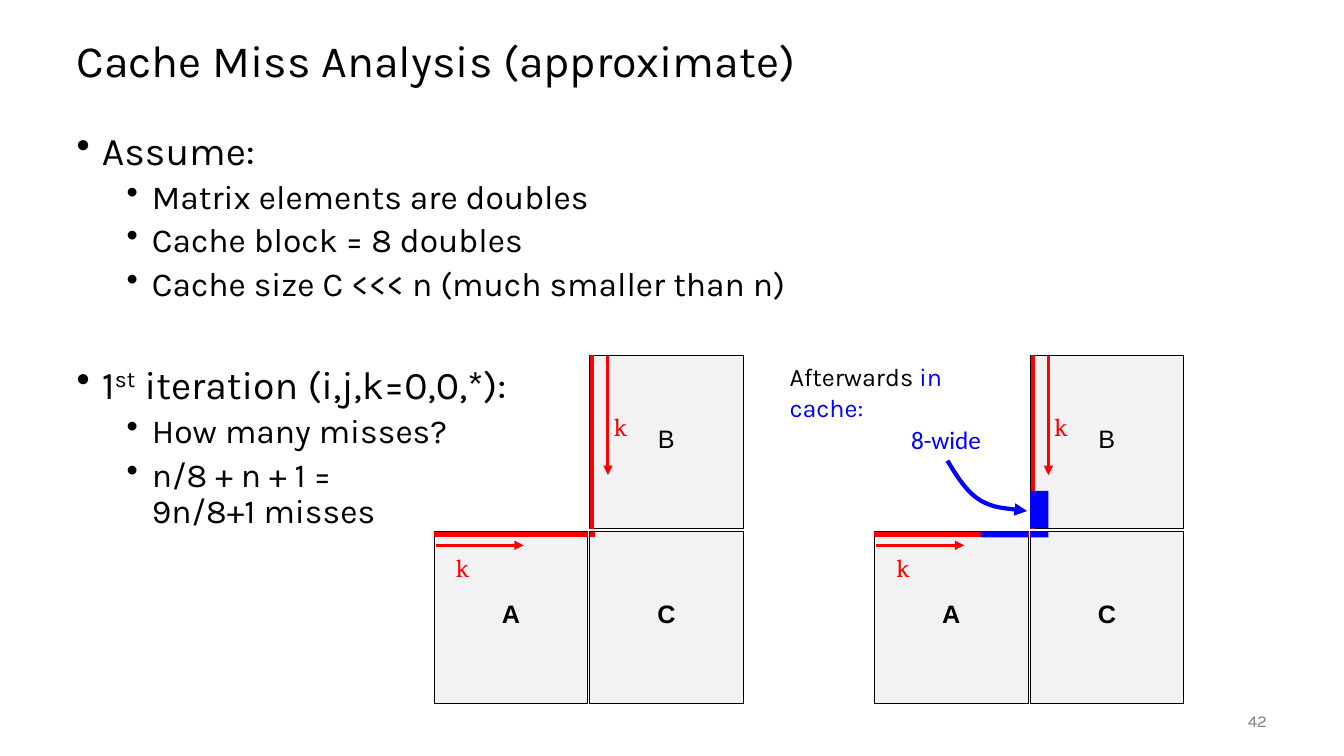
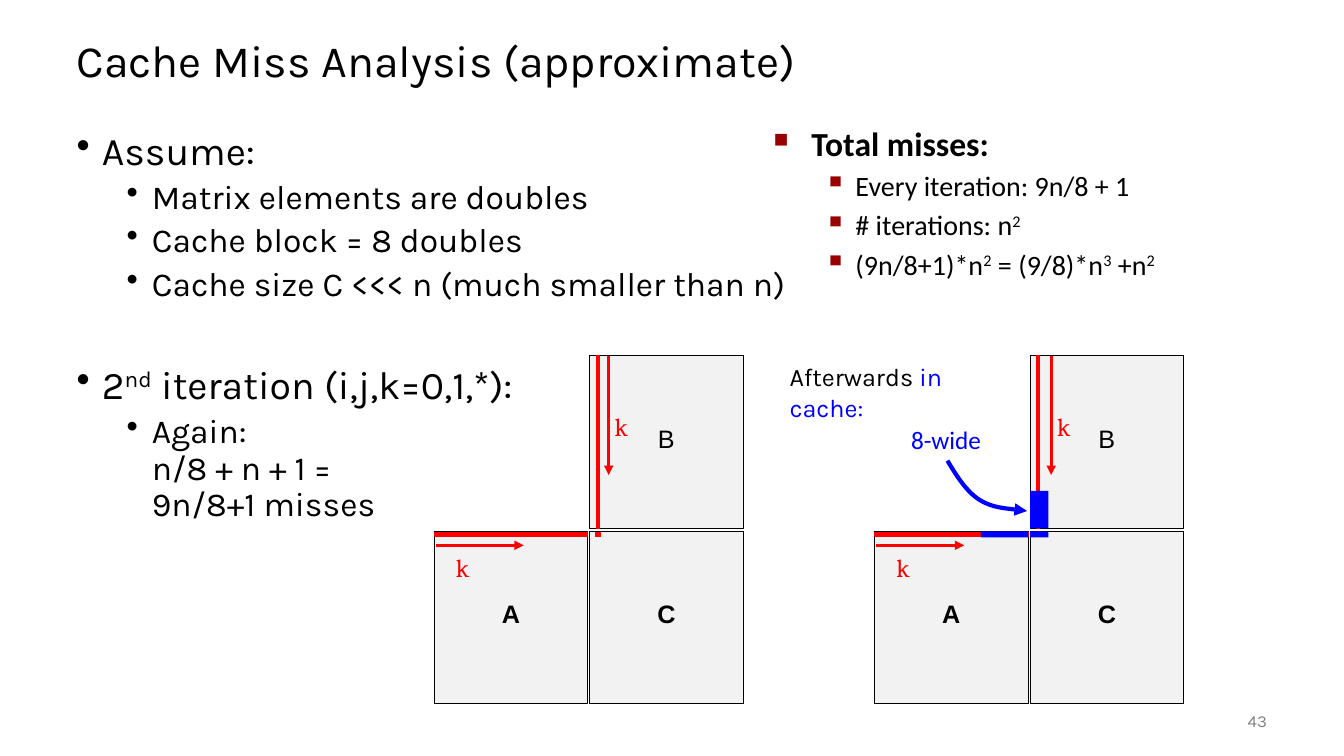
from lxml.etree import SubElement
from pptx import Presentation
from pptx.dml.color import RGBColor as RGB
from pptx.enum.shapes import MSO_CONNECTOR as CONN, MSO_SHAPE as SHAPE
from pptx.enum.text import MSO_ANCHOR as ANCHOR, PP_ALIGN as ALIGN
from pptx.oxml.ns import qn
from pptx.util import Cm, Pt

COLORS = {"black": "000000", "red": "FF0000", "blue": "0000FF",
          "panel": "F2F2F2", "bullet": "990000", "number": "808080"}

# font and para hold attribute values; bullet is (char, left cm, hanging cm, colour, size %)
STYLES = {
    "title": dict(font=dict(name="Karla", size=Pt(32)), para=dict(line_spacing=0.9)),
    "head": dict(font=dict(name="Karla", size=Pt(28)),
                 para=dict(line_spacing=0.9, space_before=Pt(44.5)),
                 bullet=("•", 0.64, 0.64, "black", 100)),
    "item": dict(font=dict(name="Karla", size=Pt(24)),
                 para=dict(level=1, line_spacing=0.9, space_before=Pt(5)),
                 bullet=("•", 1.9, 0.64, "black", 100)),
    "total": dict(font=dict(name="Calibri", size=Pt(24), bold=True),
                  bullet=("■", 0.95, 0.95, "bullet", 60)),
    "total item": dict(font=dict(name="Calibri", size=Pt(20)),
                       para=dict(level=1, space_before=Pt(4)),
                       bullet=("▪", 2.06, 0.79, "bullet", 110)),
    "note": dict(font=dict(name="Karla", size=Pt(18)), alt="blue"),
    "width": dict(font=dict(name="Calibri", size=Pt(18)), color="blue"),
    "index": dict(font=dict(name="Cambria", size=Pt(18)), color="red"),
    "matrix": dict(font=dict(name="Arial", size=Pt(18)), para=dict(alignment=ALIGN.CENTER)),
    "bold matrix": dict(font=dict(name="Arial", size=Pt(18), bold=True),
                        para=dict(alignment=ALIGN.CENTER)),
    "number": dict(font=dict(name="Karla", size=Pt(12)), color="number",
                   para=dict(alignment=ALIGN.RIGHT)),
}

MATRIX_W, MATRIX_H = 3.87, 4.34
LEFT, TOP = 10.94, 8.97
STEP_X, STEP_Y = 3.92, 4.42
PANEL_STEP = 11.1
CACHE_W = 0.46
CURVE = [(9.4, 4.57), (9.49, 4.72), (9.59, 4.88), (9.72, 4.96),
         (9.85, 5.04), (10.19, 5.07), (10.19, 5.07)]

ASSUME = [("head", "Assume:"), ("item", "Matrix elements are doubles"),
          ("item", "Cache block = 8 doubles"),
          ("item", "Cache size C <<< n (much smaller than n)")]

SLIDES = [
    dict(number="42", column=0.03, arrows=(0.46, 0.46), totals=[],
         body=[("head", "1^st^ iteration (i,j,k=0,0,*):"), ("item", "How many misses?"),
               ("item", "n/8 + n + 1 =\n9n/8+1 misses")]),
    dict(number="43", column=0.17, arrows=(0.48, 0.53),
         totals=[("total", "Total misses:"), ("total item", "Every iteration: 9n/8 + 1"),
                 ("total item", "# iterations: n^2"),
                 ("total item", "(9n/8+1)*n^2^ = (9/8)*n^3^ +n^2")],
         body=[("head", "2^nd^ iteration (i,j,k=0,1,*):"),
               ("item", "Again:\nn/8 + n + 1 =\n9n/8+1 misses")]),
]


def write(tf, paras, **frame):
    """Fill tf with (style, text) pairs; ^ switches superscript, or the style's alt colour."""
    for name, value in {"word_wrap": True, **frame}.items():
        setattr(tf, name, value)
    for i, (style, text) in enumerate(paras):
        st = STYLES[style]
        p = tf.add_paragraph() if i else tf.paragraphs[0]
        if "bullet" in st:
            char, left, hang, color, size = st["bullet"]
            pPr = p._p.get_or_add_pPr()
            pPr.set("marL", str(Cm(left)))
            pPr.set("indent", str(-Cm(hang)))
            clr = SubElement(pPr, qn("a:buClr"))
            SubElement(clr, qn("a:srgbClr"), val=COLORS[color])
            SubElement(pPr, qn("a:buSzPct"), val=str(size * 1000))
            SubElement(pPr, qn("a:buChar"), char=char)
        for name, value in st.get("para", {}).items():
            if i or name != "space_before":
                setattr(p, name, value)
        for k, piece in enumerate(text.split("^")):
            color = st.get("color", "black")
            for n, line in enumerate(piece.split("\n")):
                if n:
                    p.add_line_break()
                r = p.add_run()
                r.text = line
                for name, value in st["font"].items():
                    setattr(r.font, name, value)
                if k % 2 and "alt" in st:
                    color = st["alt"]
                elif k % 2:
                    r._r.get_or_add_rPr().set("baseline", "30000")
                r.font.color.rgb = RGB.from_string(COLORS[color])


def add_block(s, box, fill, line=None):
    sp = s.shapes.add_shape(SHAPE.RECTANGLE, *map(Cm, box))
    sp.shadow.inherit = False
    sp.fill.solid()
    sp.fill.fore_color.rgb = RGB.from_string(COLORS[fill])
    if line:
        sp.line.color.rgb = RGB.from_string(COLORS[line])
        sp.line.width = Pt(0.75)
    else:
        sp.line.fill.background()
    return sp


prs = Presentation()
prs.slide_width, prs.slide_height = Cm(33.87), Cm(19.05)

for spec_ in SLIDES:
    s = prs.slides.add_slide(prs.slide_layouts[6])

    texts = [
        ((1.68, 0.64, 30.48, 1.9), [("title", "Cache Miss Analysis (approximate)")],
         dict(vertical_anchor=ANCHOR.MIDDLE)),
        ((1.68, 3.18, 30.48, 13.97), ASSUME + spec_["body"], {}),
        ((29.64, 17.65, 2.54, 1.02), [("number", spec_["number"])],
         dict(vertical_anchor=ANCHOR.MIDDLE)),
        ((19.65, 8.99, 5.2, 1.8), [("note", "Afterwards ^in cache:")], {}),
        ((22.71, 10.57, 2.34, 1.02), [("width", "8-wide")], dict(word_wrap=False)),
    ]
    if spec_["totals"]:
        texts.append(((19.25, 2.97, 10.36, 5.51), spec_["totals"], {}))

    for panel, arrow_x in enumerate(spec_["arrows"]):
        ax = LEFT + panel * PANEL_STEP
        bx, ay = ax + STEP_X, TOP + STEP_Y

        # Matrices
        for letter, x, y in (("A", ax, ay), ("B", bx, TOP), ("C", bx, ay)):
            sp = add_block(s, (x, y, MATRIX_W, MATRIX_H), "panel", "black")
            write(sp.text_frame, [("matrix" if letter == "B" else "bold matrix", letter)],
                  vertical_anchor=ANCHOR.MIDDLE, margin_bottom=Cm(0.33))

        # Elements touched, then those left in the cache
        column_x = bx + spec_["column"]
        add_block(s, (column_x, TOP, 0.08, MATRIX_H), "red", "red")
        add_block(s, (ax, ay + 0.02, MATRIX_W, 0.11), "red", "red")
        if panel == 0:
            add_block(s, (column_x - 0.02, ay + 0.02, 0.12, 0.12), "red", "red")
        else:
            add_block(s, (ax + MATRIX_W - 1.19, ay, 1.19, 0.15), "blue")
            add_block(s, (bx, TOP + MATRIX_H - 0.94, CACHE_W, 0.94), "blue")
            add_block(s, (bx, ay, CACHE_W, 0.15), "blue")

        # Directions of k
        kx, ky = bx + arrow_x, ay + 0.35
        for ends in ((ax + 0.04, ky, ax + 2.26, ky), (kx, TOP, kx, TOP + 3)):
            c = s.shapes.add_connector(CONN.STRAIGHT, *map(Cm, ends))
            c.line.color.rgb = RGB.from_string(COLORS["red"])
            c.line.width = Pt(2.25)
            SubElement(c.line._get_or_add_ln(), qn("a:tailEnd"), type="triangle")
            SubElement(c._element.spPr, qn("a:effectLst"))
        for x, y in ((ax + 0.3, ay + 0.41), (kx - 0.1, TOP + 1.27)):
            texts.append(((x, y, 0.85, 1.04), [("index", "k")], dict(word_wrap=False)))

    # Curved arrow: every three points after the first make one Bézier segment
    points = [(Cm(x * 2.54), Cm(y * 2.54)) for x, y in CURVE]
    fb = s.shapes.build_freeform(*points[0])
    fb.add_line_segments(points[1:], close=False)
    sp = fb.convert_to_shape()
    sp.shadow.inherit = False
    sp.fill.background()
    sp.line.color.rgb = RGB.from_string(COLORS["blue"])
    sp.line.width = Pt(3)
    SubElement(sp.line._get_or_add_ln(), qn("a:tailEnd"), type="triangle")
    segments = list(sp._element.iter(qn("a:lnTo")))
    for i in range(0, len(segments), 3):
        curve = SubElement(segments[i].getparent(), qn("a:cubicBezTo"))
        for seg in segments[i:i + 3]:
            curve.append(seg[0])
            seg.getparent().remove(seg)

    for box, paras, frame in texts:
        write(s.shapes.add_textbox(*map(Cm, box)).text_frame, paras, **frame)

prs.save("out.pptx")
